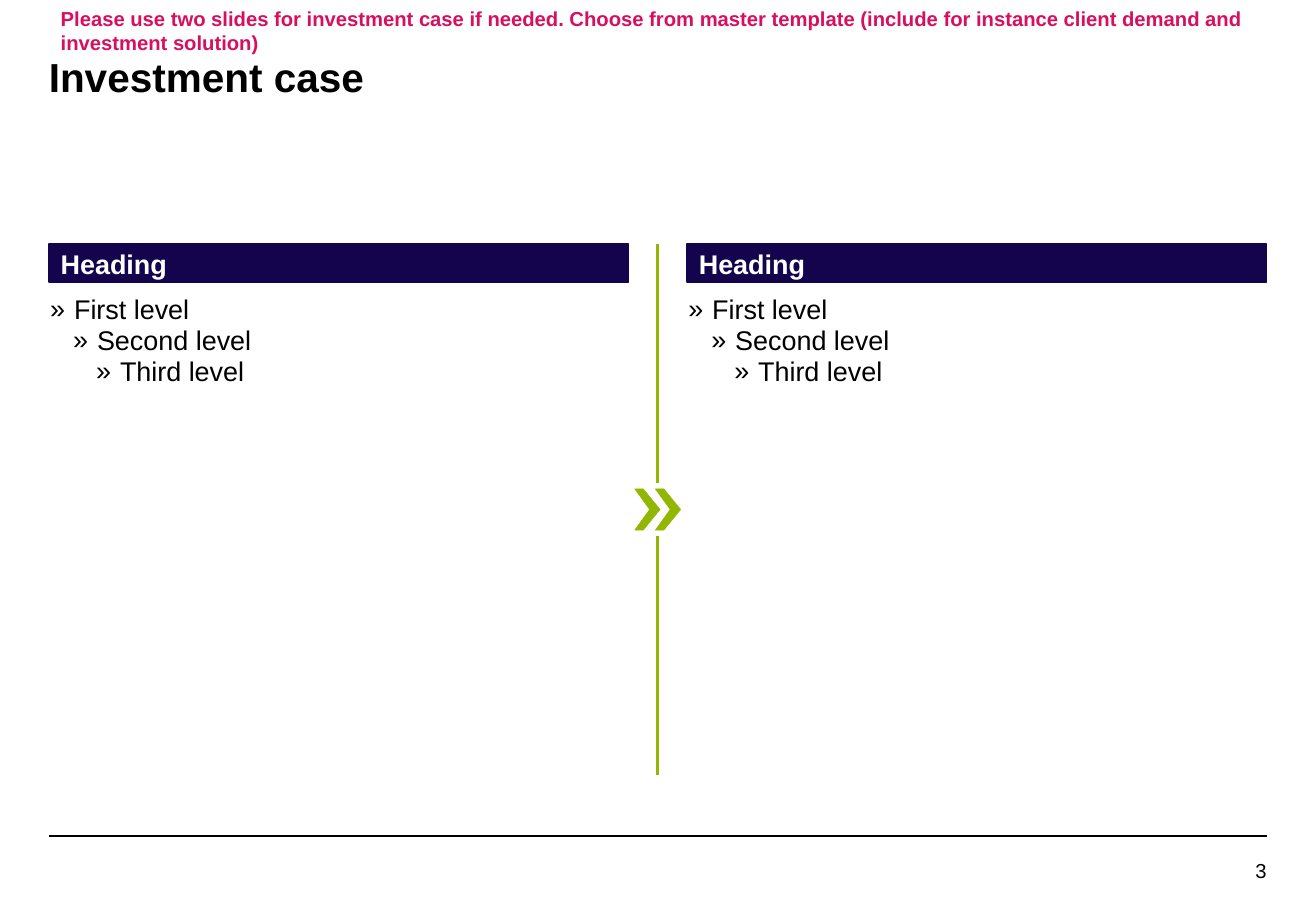
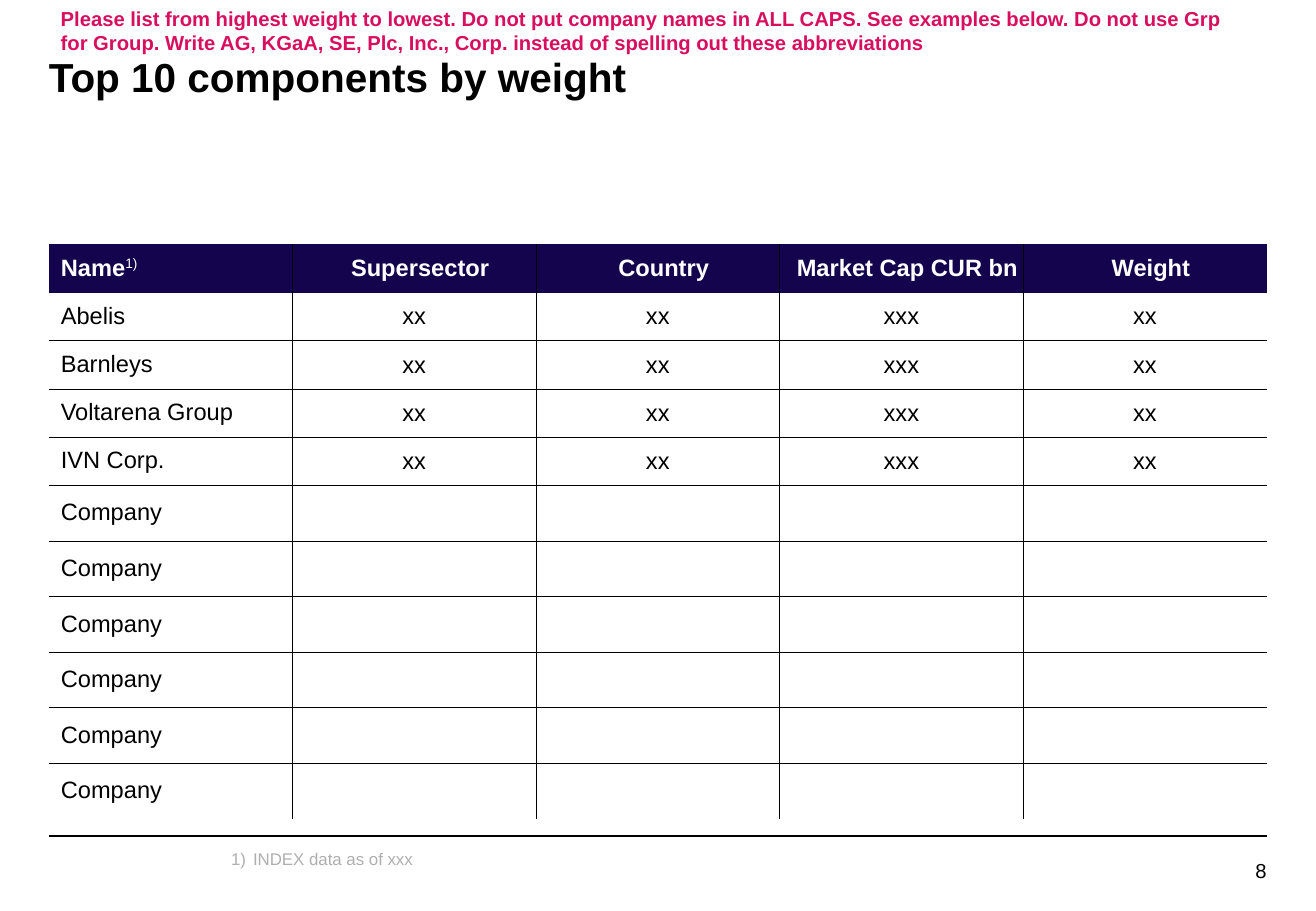
from dataclasses import dataclass

from lxml.etree import SubElement
from pptx import Presentation
from pptx.dml.color import RGBColor
from pptx.enum.shapes import MSO_CONNECTOR, MSO_SHAPE
from pptx.enum.text import MSO_ANCHOR, MSO_AUTO_SIZE, PP_ALIGN
from pptx.oxml import parse_xml
from pptx.oxml.ns import nsdecls, qn
from pptx.util import Cm, Pt

BLACK = RGBColor(0x00, 0x00, 0x00)
WHITE = RGBColor(0xFF, 0xFF, 0xFF)
NAVY = RGBColor(0x14, 0x04, 0x4E)
GREEN = RGBColor(0x92, 0xB6, 0x02)
PINK = RGBColor(0xD8, 0x0F, 0x5F)
GREY = RGBColor(0xAF, 0xAF, 0xAF)
FONT = "Arial"
TIGHT = 0.95
INSET = 0.25


@dataclass
class Box:
    """A rectangle in centimetres."""

    left: float
    top: float
    width: float
    height: float

    @property
    def right(self):
        """Give the right edge."""
        return self.left + self.width

    @property
    def middle(self):
        """Give the horizontal centre."""
        return self.left + self.width / 2

    @property
    def lengths(self):
        """Give left, top, width and height as lengths."""
        return Cm(self.left), Cm(self.top), Cm(self.width), Cm(self.height)


PAGE = Box(0, 0, 27.51, 19.05)
HINT = Box(1.02, 0, 25.46, 1.27)
TITLE = Box(1.02, 1.09, 25.46, 2.13)
CONTENT = Box(1.02, 5.11, 25.46, 11.09)
FOOTER = Box(1.02, 17.48, 25.46, 1.3)


def add_span(para, text, size, color=BLACK, bold=False):
    """Add one formatted run to a paragraph."""
    span = para.add_run()
    span.text = text
    span.font.name = FONT
    span.font.size = Pt(size)
    span.font.bold = bold
    span.font.color.rgb = color
    return span


def set_margins(target, left=0, top=0, right=0, bottom=0):
    """Set the inner margins of a text frame or cell."""
    target.margin_left, target.margin_top = Cm(left), Cm(top)
    target.margin_right, target.margin_bottom = Cm(right), Cm(bottom)


def add_text_frame(page, box):
    """Add a wrapping text box without margins and return its frame."""
    frame = page.shapes.add_textbox(*box.lengths).text_frame
    frame.word_wrap = True
    set_margins(frame)
    return frame


def set_bullet(para, indent, hanging, tag, **attributes):
    """Give a paragraph a hanging bullet."""
    properties = para._p.get_or_add_pPr()
    properties.set("marL", str(Cm(indent)))
    properties.set("indent", str(-Cm(hanging)))
    SubElement(properties, qn("a:buFont"), typeface=FONT)
    SubElement(properties, qn(tag), **attributes)


def add_rule(shapes, start, end, color, width):
    """Draw a straight line between two points."""
    rule = shapes.add_connector(
        MSO_CONNECTOR.STRAIGHT, *[Cm(value) for value in start + end])
    rule.line.color.rgb = color
    rule.line.width = Pt(width)
    SubElement(rule._element.spPr, qn("a:effectLst"))


def paint(shape, color, width):
    """Fill and outline a shape in one colour without shadow."""
    shape.shadow.inherit = False
    shape.fill.solid()
    shape.fill.fore_color.rgb = color
    shape.line.color.rgb = color
    shape.line.width = Pt(width)


def add_footer(page, box, number):
    """Draw the footer rule and the page number."""
    add_rule(page.shapes, (box.right, box.top), (box.left, box.top), BLACK, 1)
    number_box = Box(box.right - 2.26, box.top + 0.5, 2.26, 0.48)
    para = add_text_frame(page, number_box).paragraphs[0]
    para.alignment = PP_ALIGN.RIGHT
    para.line_spacing = TIGHT
    add_span(para, number, 12)


def add_hint(page, box, text):
    """Add the author instruction above the title."""
    frame = add_text_frame(page, box)
    frame.vertical_anchor = MSO_ANCHOR.MIDDLE
    set_margins(frame, INSET, 0.13, INSET, 0.13)
    add_span(frame.paragraphs[0], text, 12, PINK, True)


def add_page(deck, title, hint, number):
    """Add a slide with title, hint and footer."""
    page = deck.slides.add_slide(deck.slide_layouts[5])
    heading = page.shapes.title
    heading.left, heading.top, heading.width, heading.height = TITLE.lengths
    frame = heading.text_frame
    frame.auto_size = MSO_AUTO_SIZE.NONE
    frame.vertical_anchor = MSO_ANCHOR.TOP
    set_margins(frame)
    para = frame.paragraphs[0]
    para.alignment = PP_ALIGN.LEFT
    add_span(para, title, 24, BLACK, True)
    add_footer(page, FOOTER, number)
    add_hint(page, HINT, hint)
    return page


def add_panel(page, box, heading, lines):
    """Add a heading bar with an indented list below it."""
    bar_height = 0.79
    bar_box = Box(box.left, box.top, box.width, bar_height)
    bar = page.shapes.add_shape(MSO_SHAPE.RECTANGLE, *bar_box.lengths)
    paint(bar, NAVY, 1)
    frame = bar.text_frame
    frame.vertical_anchor = MSO_ANCHOR.MIDDLE
    set_margins(frame, left=INSET)
    frame.paragraphs[0].alignment = PP_ALIGN.LEFT
    add_span(frame.paragraphs[0], heading, 16, WHITE, True)

    list_box = Box(box.left, box.top + bar_height + 0.27, box.width, 1.96)
    frame = add_text_frame(page, list_box)
    for level, text in enumerate(lines):
        para = frame.paragraphs[0] if level == 0 else frame.add_paragraph()
        para.level = level
        para.line_spacing = TIGHT
        set_bullet(para, 0.53 + 0.48 * level, 0.5, "a:buChar", char="»")
        add_span(para, text, 16)


def add_divider(page, box):
    """Draw the vertical rule with a double chevron at its centre."""
    group = page.shapes.add_group_shape()
    bottom = box.top + box.height
    add_rule(group.shapes, (box.middle, box.top), (box.middle, bottom), GREEN, 1.5)
    gap_height = 1.09
    gap_box = Box(box.left, box.top + (box.height - gap_height) / 2,
                  box.width, gap_height)
    gap = group.shapes.add_shape(MSO_SHAPE.RECTANGLE, *gap_box.lengths)
    paint(gap, WHITE, 0.75)
    outline = [(0, 0), (0.18, 0), (0.53, 0.43), (0.18, 0.86), (0, 0.86), (0.31, 0.43)]
    for step in range(2):
        left = box.left + 0.43 * step
        top = gap_box.top + (gap_height - 0.86) / 2
        points = [(Cm(left + x), Cm(top + y)) for x, y in outline]
        builder = group.shapes.build_freeform(*points[0])
        builder.add_line_segments(points[1:], close=True)
        paint(builder.convert_to_shape(), GREEN, 0.25)


def add_columns(page, box, panels):
    """Place two panels side by side with a divider between them."""
    width = 12.12
    for left, (heading, lines) in zip((box.left, box.right - width), panels):
        add_panel(page, Box(left, box.top, width, box.height), heading, lines)
    add_divider(page, Box(box.middle - 0.48, box.top, 0.96, box.height))


def set_borders(cell, visible):
    """Draw the named cell edges and clear the others."""
    properties = cell._tc.get_or_add_tcPr()
    for place, edge in enumerate("LRTB"):
        fill = (f'<a:solidFill><a:srgbClr val="{BLACK}"/></a:solidFill>'
                if edge in visible else "<a:noFill/>")
        properties.insert(place, parse_xml(
            f'<a:ln{edge} {nsdecls("a")} w="{Pt(0.5)}">{fill}</a:ln{edge}>'))


def fill_cell(cell, text, is_header, is_name):
    """Format one table cell and write its text."""
    cell.vertical_anchor = MSO_ANCHOR.MIDDLE
    left = INSET if is_header or is_name else 0.1
    set_margins(cell, left, 0.2, 0 if is_header else 0.1, 0.2)
    para = cell.text_frame.paragraphs[0]
    para.alignment = PP_ALIGN.LEFT if is_name else PP_ALIGN.CENTER
    if is_header or is_name:
        para.line_spacing = TIGHT
    if is_header:
        cell.fill.solid()
        cell.fill.fore_color.rgb = NAVY
    else:
        cell.fill.background()
    if text:
        add_span(para, text, 14, WHITE if is_header else BLACK, is_header)
    if is_header and is_name:
        mark = add_span(para, "1)", 14, WHITE)
        mark.font._element.set("baseline", "30000")


def add_component_table(page, box, rows):
    """Add the table of components with inner grid lines."""
    row_count, column_count = len(rows), len(rows[0])
    table = page.shapes.add_table(row_count, column_count, *box.lengths).table
    table.horz_banding = False
    for column in table.columns:
        column.width = Cm(box.width / column_count)
    for row_index, texts in enumerate(rows):
        table.rows[row_index].height = Cm(box.height / row_count)
        for column_index, text in enumerate(texts):
            cell = table.cell(row_index, column_index)
            fill_cell(cell, text, row_index == 0, column_index == 0)
            inner = {"L": column_index > 0,
                     "R": column_index < column_count - 1,
                     "T": row_index > 1,
                     "B": 0 < row_index < row_count - 1}
            set_borders(cell, [edge for edge, shown in inner.items() if shown])


def add_footnote(page, box, text):
    """Add the numbered note below the footer rule."""
    note_box = Box(box.left + 3.81, box.top + 0.3, 21.08, 1)
    para = add_text_frame(page, note_box).paragraphs[0]
    para.line_spacing = TIGHT
    set_bullet(para, 0.46, 0.46, "a:buAutoNum", type="arabicParenR")
    add_span(para, text, 10, GREY)


def main():
    """Build and save the deck."""
    deck = Presentation()
    deck.slide_width, deck.slide_height = Cm(PAGE.width), Cm(PAGE.height)

    page = add_page(
        deck, "Investment case",
        "Please use two slides for investment case if needed. Choose from master "
        "template (include for instance client demand and investment solution)", "3")
    levels = ["First level", "Second level", "Third level"]
    add_columns(page, CONTENT, [("Heading", levels)] * 2)

    page = add_page(
        deck, "Top 10 components by weight",
        "Please list from highest weight to lowest. Do not put company names in ALL "
        "CAPS. See examples below. Do not use Grp for Group. Write AG, KGaA, SE, Plc, "
        "Inc., Corp. instead of spelling out these abbreviations", "8")
    names = ["Abelis", "Barnleys", "Voltarena Group", "IVN Corp."]
    rows = [["Name", "Supersector", "Country", "Market Cap CUR bn", "Weight"]]
    rows += [[name, "xx", "xx", "xxx", "xx"] for name in names]
    rows += [["Company", "", "", "", ""]] * 6
    add_component_table(page, CONTENT, rows)
    add_footnote(page, FOOTER, "INDEX data as of xxx")

    deck.save("out.pptx")


if __name__ == "__main__":
    main()
